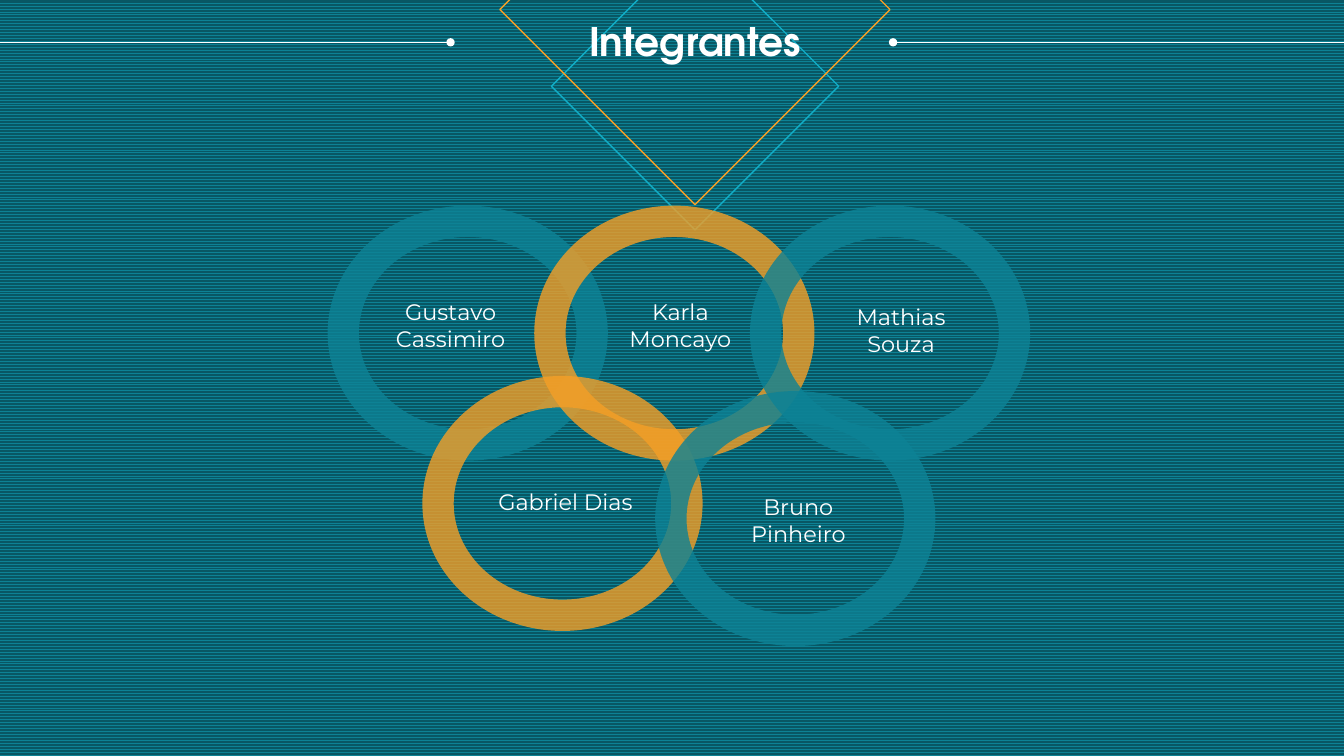
from dataclasses import dataclass

from lxml import etree
from pptx import Presentation
from pptx.dml.color import RGBColor
from pptx.enum.dml import MSO_PATTERN
from pptx.enum.shapes import MSO_CONNECTOR, MSO_SHAPE
from pptx.enum.text import MSO_ANCHOR, MSO_AUTO_SIZE, PP_ALIGN
from pptx.oxml.ns import qn
from pptx.util import Pt

DIAMOND, DONUT = MSO_SHAPE.DIAMOND, MSO_SHAPE.DONUT
STRAIGHT, ZIG_ZAG = MSO_CONNECTOR.STRAIGHT, MSO_PATTERN.ZIG_ZAG
CENTER, TOP, NO_FIT = PP_ALIGN.CENTER, MSO_ANCHOR.TOP, MSO_AUTO_SIZE.NONE


@dataclass(frozen=True)
class Theme:
    """Colours, typefaces and type sizes of the deck."""
    ground: str = "085764"
    teal: str = "0D8295"
    cyan: str = "11AEC7"
    orange: str = "F59F26"
    white: str = "FFFFFF"
    title_font: str = "TeX Gyre Adventor"
    name_font: str = "Montserrat"
    title_size: float = 28
    name_size: float = 16
    name_leading: float = 19


THEME = Theme()
RING_SIZE = (200.16, 182.16)
NAME_SIZE = (106.56, 38.16)
# Ring left and top, colour, name offset within the ring, name lines
MEMBERS = [
    ((234, 146.88), THEME.teal, (34.56, 66.24), ["Gustavo", "Cassimiro"]),
    ((381.6, 146.88), THEME.orange, (51.12, 66.24), ["Karla", "Moncayo"]),
    ((535.68, 146.88), THEME.teal, (54.72, 69.84), ["Mathias", "Souza"]),
    ((301.68, 268.56), THEME.orange, (48.96, 80.64), ["Gabriel Dias"]),
    ((468, 279.36), THEME.teal, (48.96, 73.44), ["Bruno", "Pinheiro"]),
]


def rgb(value):
    """Turn a hex string into a colour."""
    return RGBColor.from_string(value)


def points(*values):
    """Convert numbers to lengths in points."""
    return [Pt(value) for value in values]


def apply(target, values):
    """Set every attribute named in a dict of format values."""
    for name, value in values.items():
        setattr(target, name, value)


def write_text(shape, lines, font, leading):
    """Fill a shape with centred white paragraphs, without insets."""
    frame = shape.text_frame
    frame.text = "\n".join(lines)
    apply(frame, {"margin_left": 0, "margin_top": 0, "margin_right": 0,
                  "margin_bottom": 0, "word_wrap": True,
                  "auto_size": NO_FIT, "vertical_anchor": TOP})
    for para in frame.paragraphs:
        apply(para, {"alignment": CENTER, "line_spacing": leading,
                     "space_before": Pt(0), "space_after": Pt(0)})
        for span in para.runs:
            apply(span.font, font)
            span.font.color.rgb = rgb(THEME.white)


def add_diamond(page, center_x, center_y, side, color):
    """Outline a diamond around a centre point."""
    box = points(center_x - side / 2, center_y - side / 2, side, side)
    shape = page.shapes.add_shape(DIAMOND, *box)
    shape.shadow.inherit = False
    shape.fill.background()
    shape.line.color.rgb = rgb(color)
    shape.line.width = Pt(1)


def add_rule(page, start_x, end_x, y):
    """Draw a thin rule with a dot at its end point."""
    rule = page.shapes.add_connector(STRAIGHT, *points(start_x, y, end_x, y))
    rule.line.color.rgb = rgb(THEME.white)
    rule.line.width = Pt(0.5)
    etree.SubElement(rule.line._get_or_add_ln(), qn("a:tailEnd"), type="oval")
    etree.SubElement(rule._element.spPr, qn("a:effectLst"))


def add_header(page, box):
    """Place diamonds, the title in its box, and a rule on each side."""
    left, top, width, height = box
    center_x = left + width / 2
    add_diamond(page, center_x, top + 45.72, 205.2, THEME.cyan)
    add_diamond(page, center_x, top - 9, 278.64, THEME.orange)
    rule_y = top + 14.4
    add_rule(page, 960, left + width - 16.56, rule_y)
    add_rule(page, 0, left - 16.56, rule_y)
    title = page.shapes.title
    apply(title, dict(zip(("left", "top", "width", "height"), points(*box))))
    write_text(title, ["Integrantes"],
               {"name": THEME.title_font, "size": Pt(THEME.title_size),
                "bold": True}, 0.9)
    page.shapes._spTree.append(title._element)


def add_member(page, box, color, offset, lines):
    """Draw a translucent ring in its box with a member's name inside."""
    ring = page.shapes.add_shape(DONUT, *points(*box))
    ring.shadow.inherit = False
    ring.adjustments[0] = 0.123
    ring.line.fill.background()
    ring.fill.solid()
    ring.fill.fore_color.rgb = rgb(color)
    shade = ring._element.spPr.find(".//" + qn("a:srgbClr"))
    etree.SubElement(shade, qn("a:alpha"), val="80000")
    label = page.shapes.add_textbox(
        *points(box[0] + offset[0], box[1] + offset[1], *NAME_SIZE))
    write_text(label, lines,
               {"name": THEME.name_font, "size": Pt(THEME.name_size)},
               Pt(THEME.name_leading))


def build_members_page(deck):
    """Build the page of team members on a patterned ground."""
    page = deck.slides.add_slide(deck.slide_layouts[5])
    ground = page.background.fill
    ground.patterned()
    ground.pattern = ZIG_ZAG
    ground.fore_color.rgb = rgb(THEME.teal)
    ground.back_color.rgb = rgb(THEME.ground)
    add_header(page, (338.4, 15.84, 316.08, 30.24))
    for corner, color, offset, lines in MEMBERS:
        add_member(page, (*corner, *RING_SIZE), color, offset, lines)


def main():
    """Create the deck and save it."""
    deck = Presentation()
    apply(deck, {"slide_width": Pt(960), "slide_height": Pt(540)})
    build_members_page(deck)
    deck.save("out.pptx")


main()
